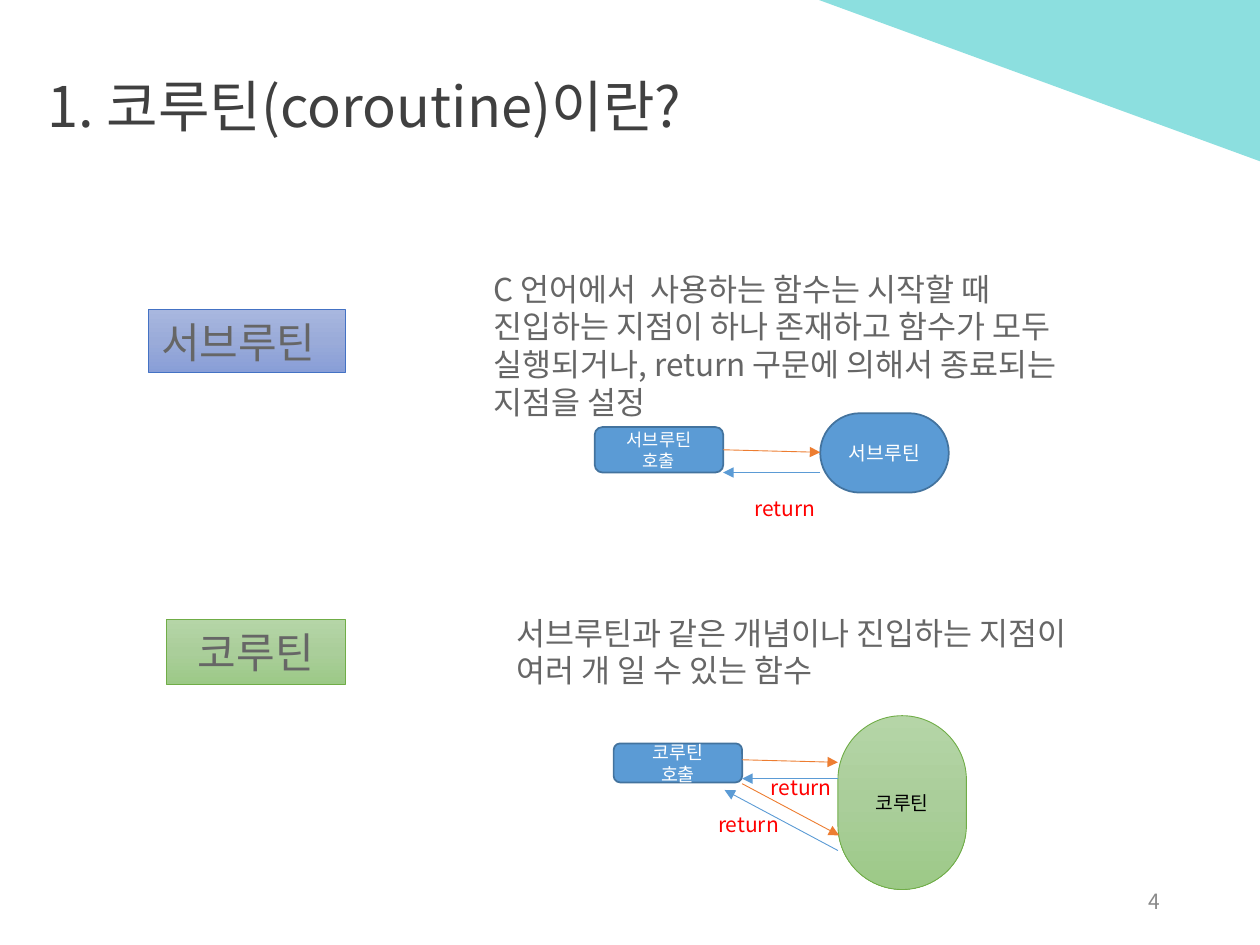
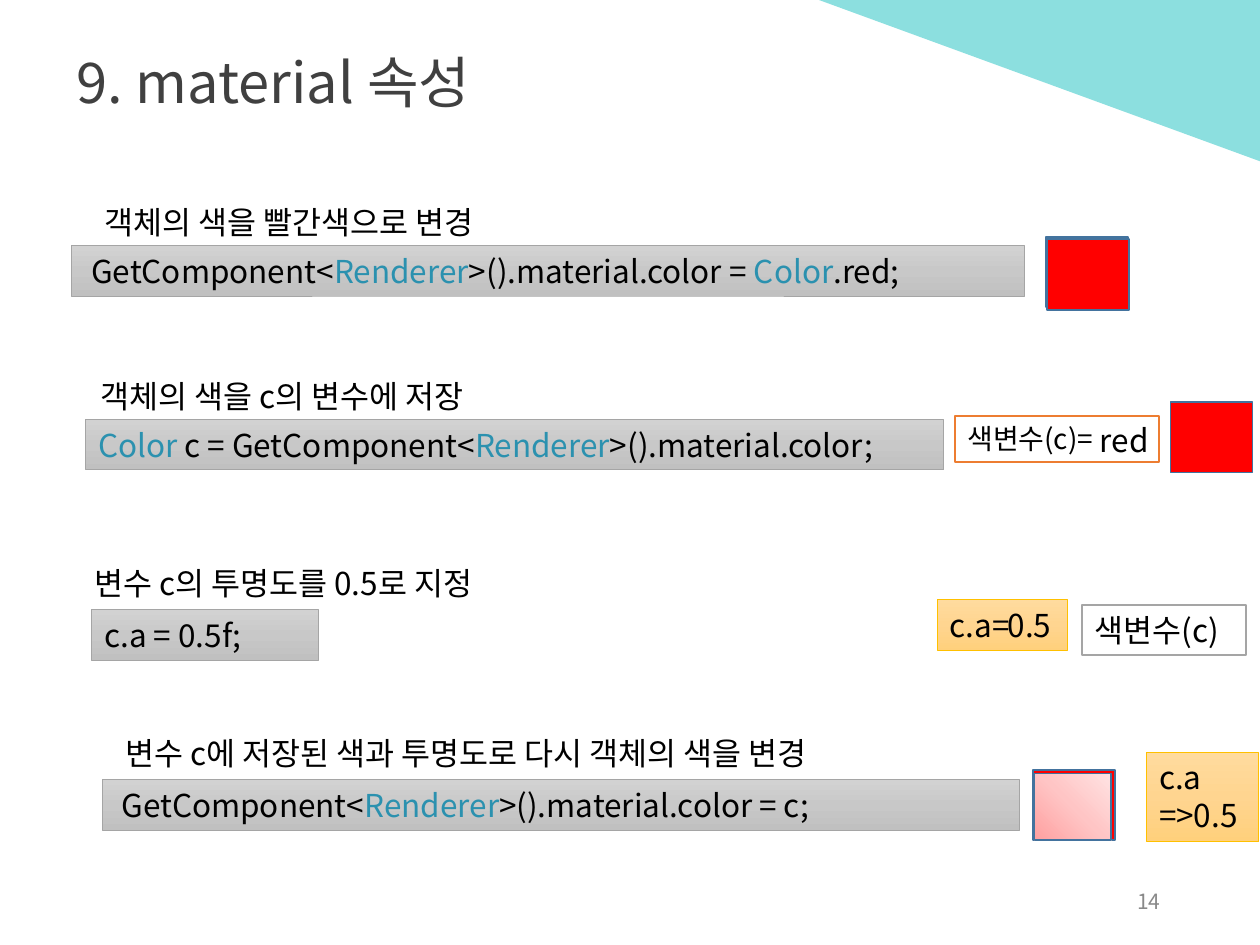
from lxml.etree import SubElement
from pptx import Presentation
from pptx.dml.color import RGBColor
from pptx.enum.shapes import MSO_CONNECTOR, MSO_SHAPE
from pptx.enum.text import MSO_ANCHOR, MSO_AUTO_SIZE, PP_ALIGN
from pptx.oxml.ns import qn
from pptx.util import Emu, Pt

PX = 9144  # 100 px to the inch
FONT = "Noto Sans CJK KR"
COLORS = {
    "corner": "8CDFDF", "title": "404040", "body": "666666", "page": "898989",
    "black": "000000", "white": "FFFFFF", "red": "FF0000", "type": "2B91AF",
    "blue": "5B9BD5", "blue_edge": "43739E", "orange": "ED7D31",
    "indigo": "4472C4", "green": "70AD47", "gray": "A5A5A5", "gold": "FFC000",
}
GRADIENTS = {
    "indigo": ("A8B7DF", "9AABD9", "889ED7"),
    "green": ("B5D5A7", "AACE9A", "9CC987"),
    "gray": ("D2D2D2", "C8C8C8", "C0C0C0"),
    "gold": ("FFDB9E", "FFD590", "FFD07C"),
    "faded_red": ("FFA0A0", "FFC5C5", "FFE3E3"),
}


def px(*lengths):
    return [Emu(length * PX) for length in lengths]


def rgb(color):
    return RGBColor.from_string(COLORS[color])


# Text
def style_run(run, size, color):
    run.font.size = Pt(size)
    run.font.name = FONT
    run.font.color.rgb = rgb(color)
    SubElement(run.font._element, qn("a:ea"), typeface=FONT)


def write(shape, text, size, color, align=PP_ALIGN.LEFT,
          anchor=MSO_ANCHOR.TOP, grow=True, wrap=True):
    frame = shape.text_frame
    frame.text = text
    frame.word_wrap = wrap
    frame.auto_size = MSO_AUTO_SIZE.SHAPE_TO_FIT_TEXT if grow else MSO_AUTO_SIZE.NONE
    frame.vertical_anchor = anchor
    for paragraph in frame.paragraphs:
        paragraph.alignment = align
        for run in paragraph.runs:
            style_run(run, size, color)


def label(slide, box, text, size=18, color="black", **layout):
    write(slide.shapes.add_textbox(*px(*box)), text, size, color, **layout)


# Shapes and lines
def fill_gradient(shape, name, from_corner=False):
    shape.fill.gradient()
    gradient = shape._element.spPr.find(qn("a:gradFill"))
    for child in list(gradient):
        gradient.remove(child)
    stops = SubElement(gradient, qn("a:gsLst"))
    for percent, color in zip((0, 50, 100), GRADIENTS[name]):
        stop = SubElement(stops, qn("a:gs"), pos=str(percent * 1000))
        SubElement(stop, qn("a:srgbClr"), val=color)
    if from_corner:
        circle = SubElement(gradient, qn("a:path"), path="circle")
        SubElement(circle, qn("a:fillToRect"), t="100000", r="100000")
    else:
        SubElement(gradient, qn("a:lin"), ang="5400000", scaled="0")


def block(slide, box, fill=None, edge=None, edge_width=1, kind=MSO_SHAPE.RECTANGLE):
    shape = slide.shapes.add_shape(kind, *px(*box))
    shape.shadow.inherit = False
    if fill:
        shape.fill.solid()
        shape.fill.fore_color.rgb = rgb(fill)
    if edge:
        shape.line.color.rgb = rgb(edge)
        shape.line.width = Pt(edge_width)
    else:
        shape.line.fill.background()
    return shape


def tinted_block(slide, box, tint, kind=MSO_SHAPE.RECTANGLE):
    shape = block(slide, box, edge=tint, edge_width=0.5, kind=kind)
    fill_gradient(shape, tint)
    return shape


def swatch(slide, left, top, fill="red"):
    block(slide, (left, top, 65, 56), fill, "blue_edge")


def node(slide, box, text, size, pill=False, tint=None):
    kind = MSO_SHAPE.ROUNDED_RECTANGLE
    if tint:
        shape = tinted_block(slide, box, tint, kind)
    else:
        shape = block(slide, box, "blue", "blue_edge", kind=kind)
    if pill:
        shape.adjustments[0] = 0.5
    write(shape, text, size, "black" if tint else "white", PP_ALIGN.CENTER,
          MSO_ANCHOR.MIDDLE, grow=False)


def arrow(slide, start, end, color):
    line = slide.shapes.add_connector(MSO_CONNECTOR.STRAIGHT, *px(*start, *end))
    line.line.width = Pt(0.5)
    line.line.color.rgb = rgb(color)
    SubElement(line.line._get_or_add_ln(), qn("a:tailEnd"), type="triangle")
    SubElement(line._element.spPr, qn("a:effectLst"))


def code_bar(slide, box, code):
    """Type names stand between bars: Get<|Type|>()."""
    bar = tinted_block(slide, box, "gray")
    write(bar, "", 18, "black")
    for index, part in enumerate(code.split("|")):
        if part:
            run = bar.text_frame.paragraphs[0].add_run()
            run.text = part
            style_run(run, 18, "type" if index % 2 else "black")


# Shared slide frame
def new_slide(deck, title, title_box, page, wrap_title):
    slide = deck.slides.add_slide(deck.slide_layouts[6])
    block(slide, (650, 0, 350, 128), "corner", kind=MSO_SHAPE.RIGHT_TRIANGLE).rotation = 180
    label(slide, title_box, title, 32, "title", wrap=wrap_title)
    label(slide, (706, 695, 225, 40), page, 12, "page", align=PP_ALIGN.RIGHT,
          anchor=MSO_ANCHOR.MIDDLE, grow=False)
    return slide


def coroutine_slide(deck):
    slide = new_slide(deck, "1. 코루틴(coroutine)이란?", (28, 52, 547, 64), "4", False)

    # Terms and definitions
    label(slide, (382, 209, 500, 101),
          "C 언어에서  사용하는 함수는 시작할 때 진입하는 지점이 하나 존재하고 함수가 모두 "
          "실행되거나, return 구문에 의해서 종료되는 지점을 설정", color="body")
    label(slide, (400, 482, 500, 71),
          "서브루틴과 같은 개념이나 진입하는 지점이 여러 개 일 수 있는 함수", color="body")
    for box, term, tint, align in (
        ((118, 246, 156, 50), "서브루틴", "indigo", PP_ALIGN.LEFT),
        ((132, 492, 142, 51), "코루틴", "green", PP_ALIGN.CENTER),
    ):
        write(tinted_block(slide, box, tint), term, 24, "body", align)

    # Callers and routines
    node(slide, (472, 339, 102, 36), "서브루틴\n호출", 10)
    node(slide, (651, 328, 102, 63), "서브루틴", 11, pill=True)
    node(slide, (487, 590, 102, 31), "코루틴\n호출", 10.5)
    node(slide, (665, 568, 102, 138), "코루틴", 11, pill=True, tint="green")

    # Calls in orange, returns in blue
    for start, end in (((574, 357), (651, 359)), ((589, 603), (665, 605)),
                       ((589, 622), (666, 663))):
        arrow(slide, start, end, "orange")
    for start, end in (((651, 375), (574, 375)), ((665, 618), (589, 618)),
                       ((665, 675), (575, 627))):
        arrow(slide, start, end, "blue")
    for left, top in ((589, 388), (602, 610), (560, 639)):
        label(slide, (left, top, 195, 30), "return", 12, "red")


def material_slide(deck):
    slide = new_slide(deck, "9. material 속성", (51, 33, 379, 64), "14", True)

    # Steps: a caption above each line of code
    for caption_box, caption, wrap, code_box, code in (
        ((73, 156, 350, 40), "객체의 색을 빨간색으로 변경", False, (57, 195, 756, 40),
         " GetComponent<|Renderer|>().material.color = |Color|.red;"),
        ((70, 294, 345, 40), "객체의 색을 c의 변수에 저장", False, (68, 333, 681, 40),
         "|Color| c = GetComponent<|Renderer|>().material.color;"),
        ((65, 443, 614, 40), "변수 c의 투명도를 0.5로 지정", True, (73, 484, 180, 40),
         "c.a = 0.5f;"),
        ((90, 578, 659, 40), "변수 c에 저장된 색과 투명도로 다시 객체의 색을 변경", False,
         (81, 619, 728, 40), " GetComponent<|Renderer|>().material.color = c;"),
    ):
        code_bar(slide, code_box, code)
        label(slide, caption_box, caption, wrap=wrap)

    # Object colours
    swatch(slide, 830, 188, "white")
    swatch(slide, 831, 190)
    swatch(slide, 929, 319)
    swatch(slide, 820, 611)
    fill_gradient(block(slide, (821, 614, 61, 53), edge="blue_edge"), "faded_red", True)

    # Variable values
    for box, text, size, edge in (((758, 330, 162, 37), "색변수(c)=", 16, "orange"),
                                  ((859, 480, 130, 40), "색변수(c)", 18, "gray")):
        write(block(slide, box, "white", edge), text, size, "black")
    write(tinted_block(slide, (744, 476, 103, 40), "gold"), "c.a=", 18, "black")
    write(tinted_block(slide, (910, 597, 89, 71), "gold"), "c.a\n=>0.5", 18, "black",
          wrap=False)
    label(slide, (863, 329, 78, 40), "red")
    label(slide, (790, 476, 65, 40), "0.5")


def main():
    deck = Presentation()
    deck.slide_width, deck.slide_height = px(1000, 750)
    coroutine_slide(deck)
    material_slide(deck)
    deck.save("out.pptx")


if __name__ == "__main__":
    main()
